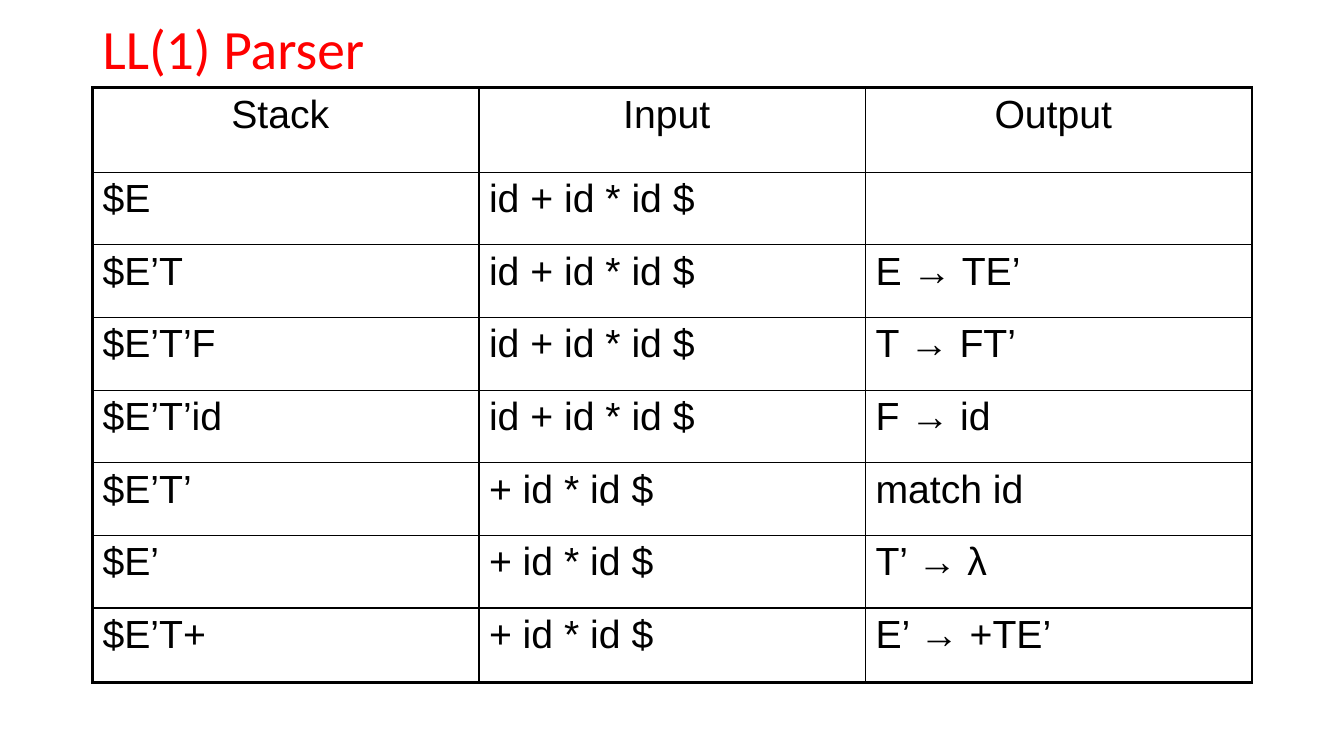
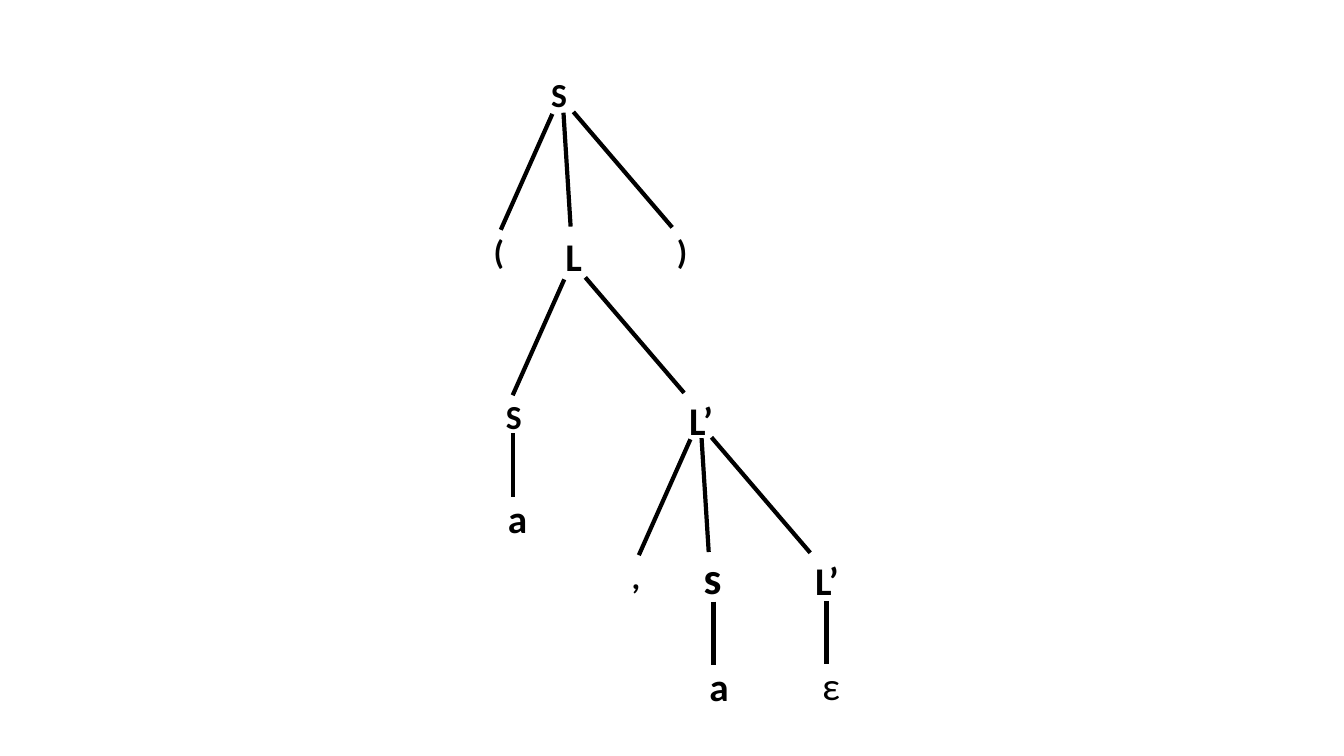
from dataclasses import dataclass

from lxml import etree
from pptx import Presentation
from pptx import util as u
from pptx.dml.color import RGBColor
from pptx.enum import shapes, text
from pptx.oxml import ns


@dataclass(frozen=True)
class Theme:
    ink: RGBColor = RGBColor(0, 0, 0)
    heading: RGBColor = RGBColor(255, 0, 0)
    tree_font: str = "Calibri"
    table_font: str = "Arial"
    heading_size: float = 39.6
    table_size: float = 28
    small: float = 24
    medium: float = 28
    large: float = 32
    outer_border: float = 2.25
    inner_border: float = 1
    branch: float = 3


theme = Theme()


def add_run(paragraph, words, font, size, color, bold=False):
    run = paragraph.add_run()
    run.text = words
    run.font.name = font
    run.font.size = u.Pt(size)
    run.font.color.rgb = color
    run.font.bold = bold


def add_border(cell, side, width):
    properties = cell._tc.get_or_add_tcPr()
    border = etree.SubElement(properties, ns.qn(f"a:ln{side}"), w=str(u.Pt(width)))
    fill = etree.SubElement(border, ns.qn("a:solidFill"))
    etree.SubElement(fill, ns.qn("a:srgbClr"), val=str(theme.ink))


deck = Presentation()
deck.slide_width = u.Cm(33.87)
deck.slide_height = u.Cm(19.05)

parser_slide = deck.slides.add_slide(deck.slide_layouts[5])
heading = parser_slide.shapes.title
heading.left, heading.top = u.Cm(2.33), u.Cm(0.38)
heading.width, heading.height = u.Cm(29.21), u.Cm(1.83)
heading.text_frame.vertical_anchor = text.MSO_ANCHOR.MIDDLE
heading_line = heading.text_frame.paragraphs[0]
heading_line.alignment = text.PP_ALIGN.LEFT
heading_line.line_spacing = 0.9
add_run(heading_line, "LL(1) Parser", theme.tree_font, theme.heading_size, theme.heading)

parse_steps = [
    ("Stack ", "Input ", "Output "),
    ("$E", "id + id * id $", ""),
    ("$E’T", "id + id * id $", "E → TE’"),
    ("$E’T’F", "id + id * id $", "T → FT’"),
    ("$E’T’id", "id + id * id $", "F → id"),
    ("$E’T’", "+ id * id $", "match id"),
    ("$E’", "+ id * id $", "T’ → λ"),
    ("$E’T+", "+ id * id $", "E’ → +TE’"),
]
last_row, last_column = len(parse_steps) - 1, len(parse_steps[0]) - 1
row_heights = [2.13] + [1.83] * (last_row - 1) + [1.87]

trace = parser_slide.shapes.add_table(
    len(parse_steps), len(parse_steps[0]),
    u.Cm(2.33), u.Cm(2.21), u.Cm(29.22), u.Cm(sum(row_heights)),
).table
trace.first_row = False
trace.horz_banding = False
for column in trace.columns:
    column.width = u.Cm(9.74)

for row, (step, height) in enumerate(zip(parse_steps, row_heights)):
    trace.rows[row].height = u.Cm(height)
    for column, words in enumerate(step):
        cell = trace.cell(row, column)
        edges = {
            "L": column == 0,
            "R": column == last_column,
            "T": row == 0,
            "B": row == last_row,
        }
        for side, outer in edges.items():
            add_border(cell, side, theme.outer_border if outer else theme.inner_border)
        cell.fill.background()
        entry = cell.text_frame.paragraphs[0]
        entry.alignment = text.PP_ALIGN.CENTER if row == 0 else text.PP_ALIGN.LEFT
        if words:
            add_run(entry, words, theme.table_font, theme.table_size, theme.ink)

tree_slide = deck.slides.add_slide(deck.slide_layouts[6])
symbols = [
    ("S", 13.64, 1.75, theme.small),
    ("(", 12.19, 5.69, theme.small),
    ("L", 14, 5.72, theme.medium),
    (")", 16.81, 5.69, theme.small),
    ("S", 12.5, 9.86, theme.small),
    ("L’", 17.12, 9.86, theme.medium),
    ("a", 12.55, 12.32, theme.medium),
    (",", 15.67, 13.89, theme.small),
    ("s", 17.48, 13.72, theme.large),
    ("L’", 20.29, 13.89, theme.medium),
    ("a", 17.63, 16.56, theme.medium),
    ("ε", 20.47, 16.54, theme.medium),
]
for symbol, left, top, size in symbols:
    node = tree_slide.shapes.add_textbox(
        u.Cm(left), u.Cm(top), u.Cm(1.3), u.Cm(0.05 + 0.05 * size)
    )
    node.text_frame.word_wrap = True
    add_run(node.text_frame.paragraphs[0], symbol, theme.tree_font, size, theme.ink,
            bold=symbol != "ε")

left_branch = (0, 0, -1.3, 2.92)
middle_branch = (0.28, -0.03, 0.46, 2.84)
right_branch = (0.53, -0.05, 3.02, 2.86)
stem = (0, 0, 0, 1.6)
expansions = [
    (13.92, 2.87, [left_branch, middle_branch, right_branch]),
    (14.22, 7.04, [left_branch, right_branch]),
    (17.4, 11.07, [left_branch, middle_branch, right_branch]),
    (12.93, 10.92, [stem]),
    (17.98, 15.16, [stem]),
    (20.83, 15.14, [stem]),
]
for x, y, branches in expansions:
    for start_x, start_y, end_x, end_y in branches:
        branch = tree_slide.shapes.add_connector(
            shapes.MSO_CONNECTOR.STRAIGHT,
            u.Cm(x + start_x), u.Cm(y + start_y), u.Cm(x + end_x), u.Cm(y + end_y),
        )
        branch.line.color.rgb = theme.ink
        branch.line.width = u.Pt(theme.branch)
        etree.SubElement(branch._element.spPr, ns.qn("a:effectLst"))

deck.save("out.pptx")
